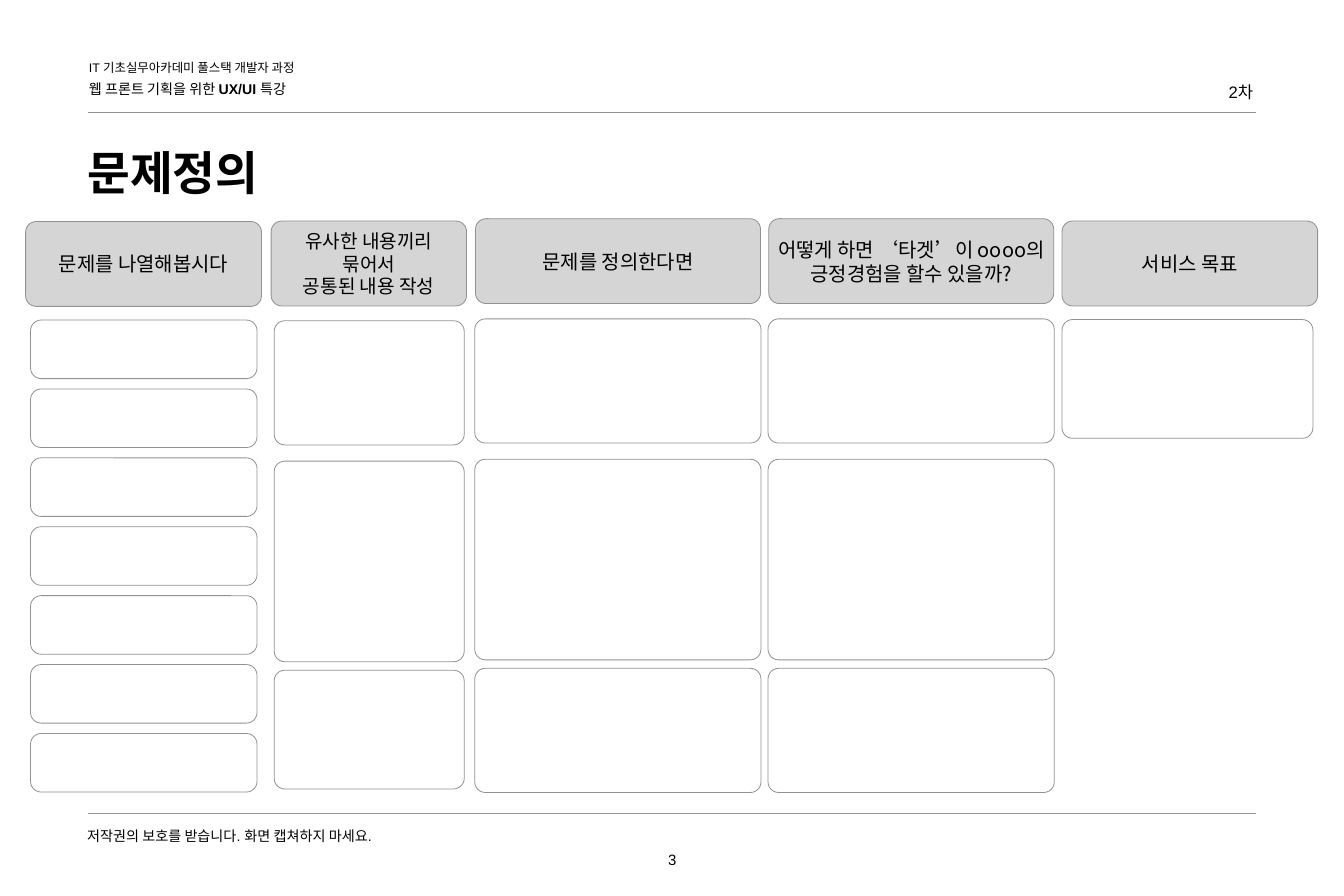
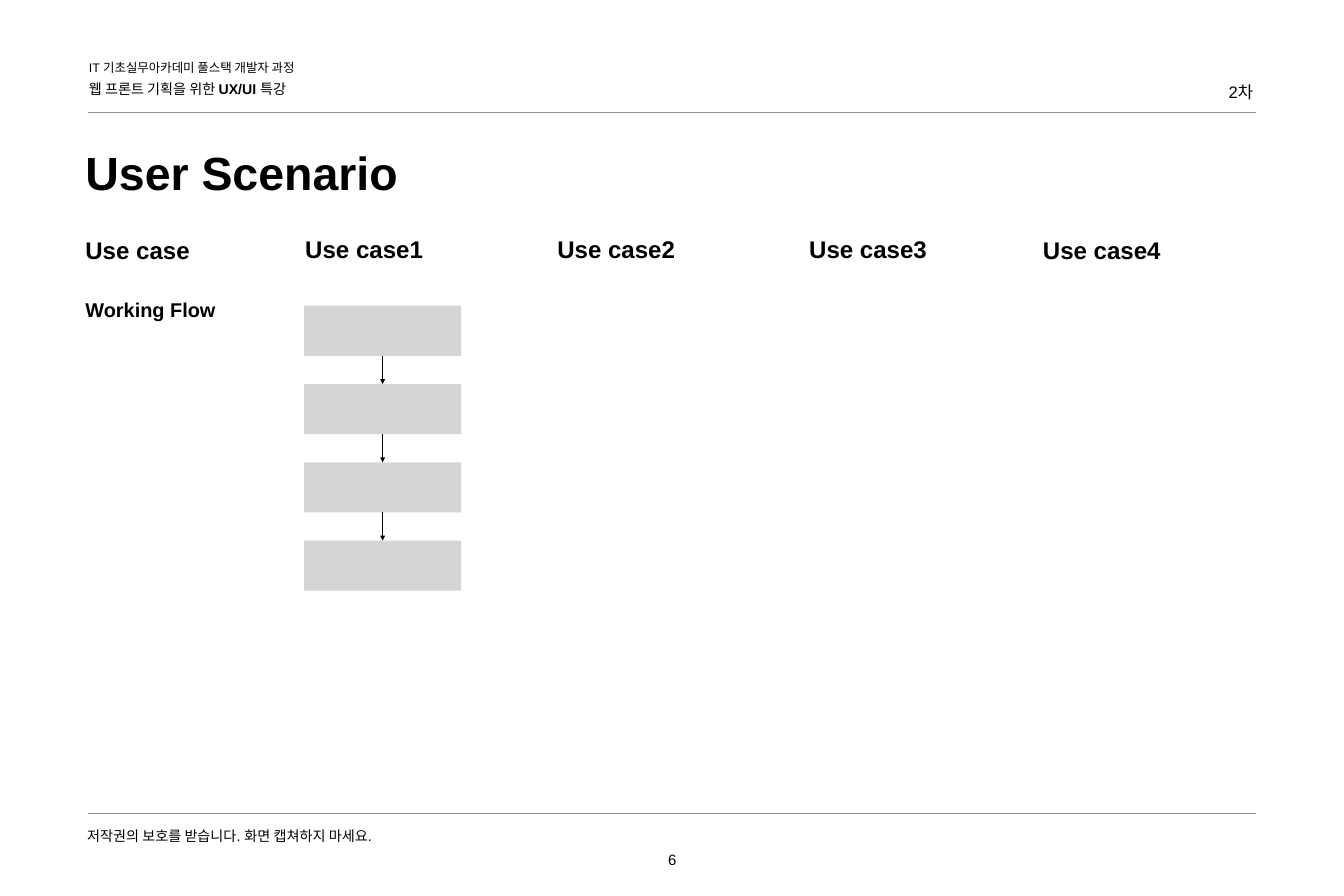
from lxml.etree import SubElement
from pptx import Presentation
from pptx.dml.color import RGBColor
from pptx.enum.shapes import MSO_CONNECTOR, MSO_SHAPE
from pptx.enum.text import MSO_ANCHOR, MSO_AUTO_SIZE, PP_ALIGN
from pptx.oxml.ns import qn
from pptx.util import Cm, Pt

HUE = {name: RGBColor.from_string(code) for name, code in {
    "ink": "000000", "line": "929292", "gray": "D5D5D5", "white": "FFFFFF"}.items()}
SANS, NOTO = "Arial", "Noto Sans CJK KR"
LEFT, MID, RIGHT = PP_ALIGN.LEFT, PP_ALIGN.CENTER, PP_ALIGN.RIGHT
TOP, CENTER, BASE = MSO_ANCHOR.TOP, MSO_ANCHOR.MIDDLE, MSO_ANCHOR.BOTTOM


def write(shape, rows, size, align=LEFT, anchor=TOP, wrap=True):
    frame = shape.text_frame
    frame.auto_size = MSO_AUTO_SIZE.NONE
    frame.word_wrap = wrap
    frame.vertical_anchor = anchor
    frame.margin_left = frame.margin_right = Cm(0.2)
    frame.margin_top = frame.margin_bottom = Cm(0.2)
    for i, row in enumerate(rows):
        para = frame.add_paragraph() if i else frame.paragraphs[0]
        para.alignment = align
        for text, face, bold in row:
            run = para.add_run()
            run.text = text
            font = run.font
            font.size, font.name, font.bold = Pt(size), face, bold
            font.color.rgb = HUE["ink"]
            SubElement(run._r.rPr, qn("a:ea"), typeface=NOTO)


def link(slide, ends, hue, width):
    line = slide.shapes.add_connector(MSO_CONNECTOR.STRAIGHT, *map(Cm, ends))
    line.line.color.rgb = HUE[hue]
    line.line.width = Pt(width)
    SubElement(line._element.spPr, qn("a:effectLst"))
    return line


deck = Presentation()
deck.slide_width, deck.slide_height = Cm(57.15), Cm(38.1)

bands = [
    ((3.58, 2.34, 14.1, 1.14), [("IT 기초실무아카데미 풀스택 개발자 과정", SANS, False)], 15, LEFT),
    ((3.58, 3.23, 13.16, 1.63), [("웹 프론트 기획을 위한", NOTO, False),
                                 (" UX/UI ", SANS, True), ("특강", NOTO, False)], 17, LEFT),
    ((50.11, 3.3, 3.38, 1.63), [("2차", SANS, False)], 20, RIGHT),
    ((3.51, 35, 17.58, 1.14), [("저작권의 보호를 받습니다. 화면 캡쳐하지 마세요.", SANS, False)], 17, LEFT),
]
pages = []
for name, face, left, number in [("문제정의", NOTO, 3.51, "3"),
                                 ("User Scenario", SANS, 3.43, "6")]:
    page = deck.slides.add_slide(deck.slide_layouts[5])
    title = page.shapes.title
    title.left, title.top, title.width, title.height = map(Cm, (left, 5.93, 22.5, 2.79))
    write(title, [[(name, face, True)]], 56)
    for spot, row, size, align in bands:
        write(page.shapes.add_textbox(*map(Cm, spot)), [row], size, align)
    foot = page.shapes.add_textbox(*map(Cm, (28.19, 35.99, 0.79, 1.14)))
    write(foot, [[(number, SANS, False)]], 18, MID, BASE, False)
    for y in (4.8, 34.57):
        link(page, (3.76, y, 53.39, y), "line", 1)
    pages.append(page)
board, flow = pages

wide = [(13.56, 5.28), (19.53, 8.53), (28.42, 5.28)]
columns = [
    (["문제를 나열해봅시다"], 24, (1.09, 9.42, 10.03), (1.3, 9.63),
     [(13.61 + 2.93 * i, 2.49) for i in range(7)]),
    (["유사한 내용끼리 묶어서", "공통된 내용 작성"], 23, (11.53, 9.4, 8.31), (11.66, 8.08),
     [(13.64, 5.28), (19.61, 8.53), (28.5, 5.05)]),
    (["문제를 정의한다면"], 24, (20.22, 9.3, 12.12), (20.19, 12.17), wide),
    (["어떻게 하면 ‘타겟’이 oooo의 긍정경험을 할수 있을까?"], 24,
     (32.69, 9.3, 12.12), (32.66, 12.17), wide),
    (["서비스 목표"], 24, (45.16, 9.4, 10.87), (45.16, 10.67), [(13.59, 5.05)]),
]
for head, size, (left, top, width), (x, w), cells in columns:
    spots = [(left, top, width, 3.61)] + [(x, y, w, h) for y, h in cells]
    for i, spot in enumerate(spots):
        card = board.shapes.add_shape(MSO_SHAPE.ROUNDED_RECTANGLE, *map(Cm, spot))
        card.adjustments[0] = 0.45 / min(spot[2:])
        card.shadow.inherit = False
        card.fill.solid()
        card.fill.fore_color.rgb = HUE["white" if i else "gray"]
        card.line.color.rgb = HUE["line"]
        card.line.width = Pt(1)
        if i == 0:
            write(card, [[(text, NOTO, False)] for text in head], size, MID, CENTER)

labels = [("Use case", 3.43, 9.8, 29), ("Working Flow", 3.43, 12.45, 24),
          ("Use case1", 12.78, 9.78, 29), ("Use case2", 23.5, 9.78, 29),
          ("Use case3", 34.21, 9.78, 29), ("Use case4", 44.15, 9.8, 29)]
for text, x, y, size in labels:
    label = flow.shapes.add_textbox(Cm(x), Cm(y), Cm(6.96), Cm(1.63))
    write(label, [[(text, SANS, True)]], size)

last = None
for i in range(4):
    step = flow.shapes.add_shape(MSO_SHAPE.RECTANGLE, Cm(12.93), Cm(13 + 3.33 * i),
                                 Cm(6.68), Cm(2.13))
    step.shadow.inherit = False
    step.fill.solid()
    step.fill.fore_color.rgb = HUE["gray"]
    step.line.fill.background()
    if last:
        arrow = link(flow, (0, 0, 0, 0), "ink", 2)
        arrow.begin_connect(last, 2)
        arrow.end_connect(step, 0)
        SubElement(arrow.line._get_or_add_ln(), qn("a:tailEnd"), type="triangle")
    last = step

deck.save("out.pptx")
